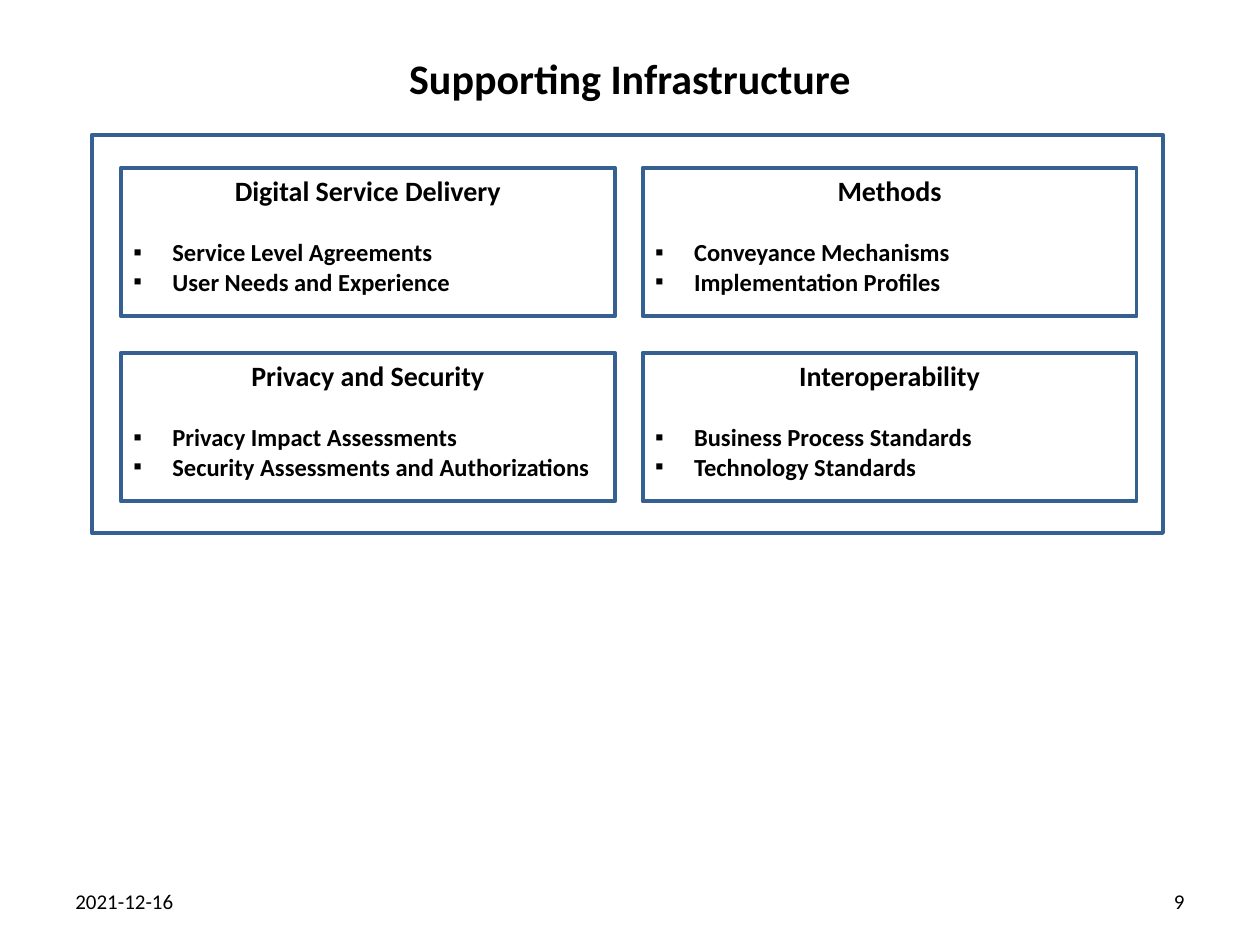
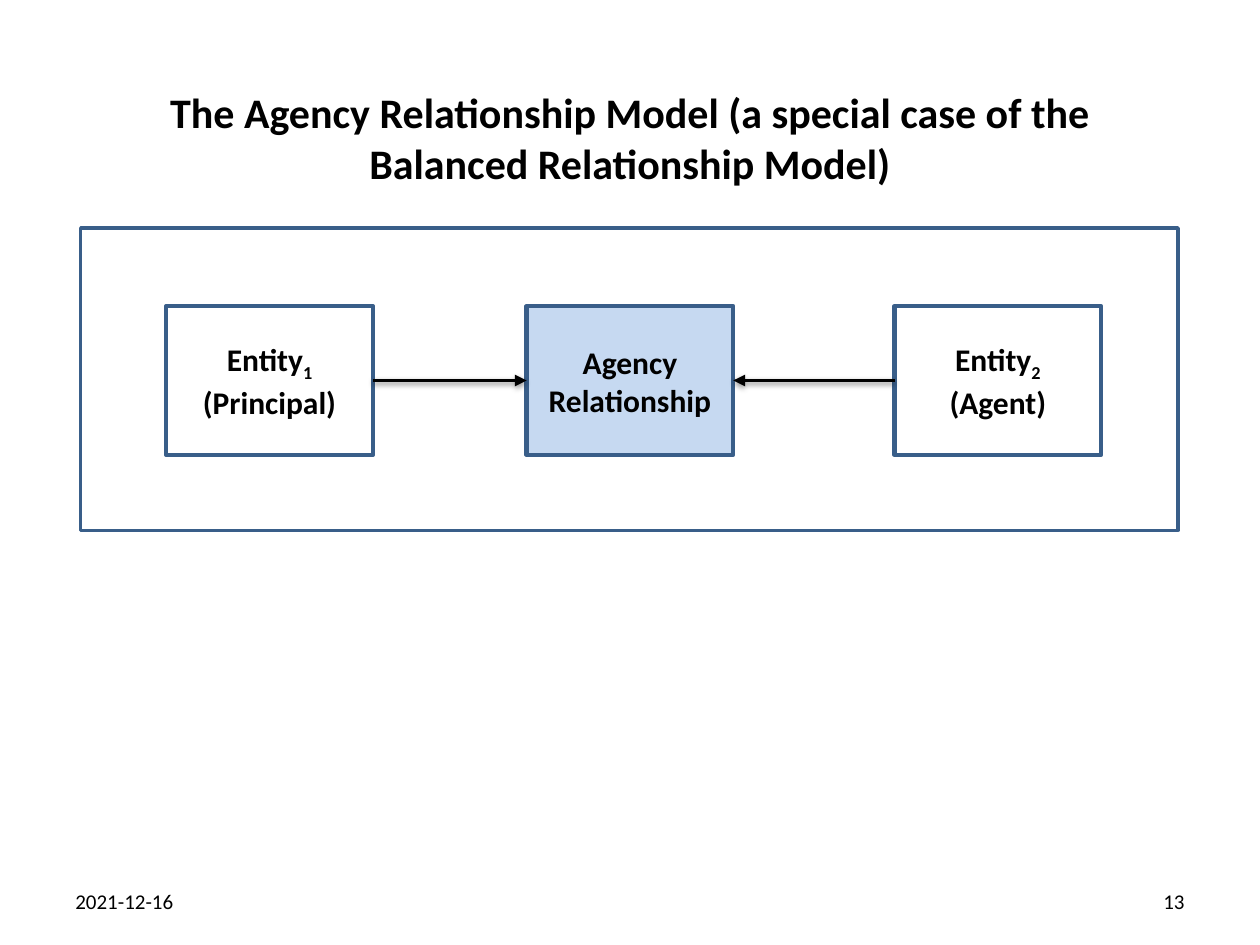
"""Build the supporting infrastructure and agency relationship slides."""
from lxml import etree
from pptx import Presentation
from pptx import util as u
from pptx.dml.color import RGBColor
from pptx.enum import shapes, text
from pptx.oxml.ns import qn

WIDTH, HEIGHT = 10, 7.5
FONT = "Calibri"
DATE = "2021-12-16"
COLORS = {"ink": "000000", "paper": "FFFFFF", "card": "376092",
          "model": "395E89", "relationship": "C6D9F1"}

INFRASTRUCTURE = {
    "title": "Supporting Infrastructure", "title_box": (0.37, 0.5), "number": "9",
    "frame": (0.73, 1.07, 8.5, 3.16),
    "cards": [
        [("Digital Service Delivery", ["Service Level Agreements", "User Needs and Experience"]),
         ("Methods", ["Conveyance Mechanisms", "Implementation Profiles"])],
        [("Privacy and Security", ["Privacy Impact Assessments",
                                   "Security Assessments and Authorizations"]),
         ("Interoperability", ["Business Process Standards", "Technology Standards"])],
    ],
}
AGENCY = {
    "title": "The Agency Relationship Model (a special case of the Balanced Relationship Model)",
    "title_box": (0.72, 0.74), "number": "13",
    "frame": (0.64, 1.81, 8.71, 2.4),
    "parties": [
        (1.32, [("Entity", 0), ("1", -25), (" (Principal)", 0)], None),
        (4.18, [("Agency Relationship", 0)], "relationship"),
        (7.1, [("Entity", 0), ("2", -25), (" (Agent)", 0)], None),
    ],
}
CARD_LEFT, CARD_TOP, CARD_W, BOX_H = 0.96, 1.33, 3.92, 1.18
COLUMN_STEP, ROW_STEP = 4.14, 1.47
PARTY_TOP, PARTY_W = 2.43, 1.64
FOOT_TOP, FOOT_W, FOOT_H, FOOT_MARGIN = 6.95, 2.33, 0.4, 0.5
TITLE_LEFT = 0.91
ALIGN, ANCHOR = text.PP_ALIGN, text.MSO_ANCHOR


def rgb(name):
    return RGBColor.from_string(COLORS[name])


def style(paragraph, size, bold=True, align=ALIGN.CENTER):
    paragraph.alignment = align
    for run in paragraph.runs:
        run.font.name, run.font.size, run.font.bold = FONT, u.Pt(size), bold
        run.font.color.rgb = rgb("ink")


def add_label(slide, box, words, size, bold, align):
    frame = slide.shapes.add_textbox(*map(u.Inches, box)).text_frame
    frame.word_wrap, frame.vertical_anchor = True, ANCHOR.MIDDLE
    frame.text = words
    style(frame.paragraphs[0], size, bold, align)


def add_box(slide, box, line, weight, fill=None):
    shape = slide.shapes.add_shape(shapes.MSO_SHAPE.RECTANGLE, *map(u.Inches, box))
    shape.shadow.inherit = False
    if fill:
        shape.fill.solid()
        shape.fill.fore_color.rgb = rgb(fill)
    else:
        shape.fill.background()
    shape.line.color.rgb, shape.line.width = rgb(line), u.Pt(weight)
    shape.text_frame.word_wrap = True
    return shape


def add_bullet(paragraph):
    props = paragraph._p.get_or_add_pPr()
    indent = u.Inches(0.31)
    props.set("marL", str(indent))
    props.set("indent", str(-indent))
    color = etree.SubElement(props, qn("a:buClr"))
    etree.SubElement(color, qn("a:srgbClr"), val=COLORS["ink"])
    etree.SubElement(props, qn("a:buFont"), typeface="Arial")
    etree.SubElement(props, qn("a:buChar"), char="▪")


def add_card(slide, column, row, heading, items):
    box = (CARD_LEFT + column * COLUMN_STEP, CARD_TOP + row * ROW_STEP, CARD_W, BOX_H)
    frame = add_box(slide, box, "card", 2.25, "paper").text_frame
    frame.vertical_anchor = ANCHOR.TOP
    frame.text = heading
    style(frame.paragraphs[0], 16)
    for index, item in enumerate(items):
        paragraph = frame.add_paragraph()
        paragraph.text = item
        add_bullet(paragraph)
        paragraph.space_before = u.Pt(0 if index else 17)
        style(paragraph, 14, align=ALIGN.LEFT)


def add_party(slide, left, pieces, fill):
    shape = add_box(slide, (left, PARTY_TOP, PARTY_W, BOX_H), "model", 2.5, fill)
    shape.text_frame.vertical_anchor = ANCHOR.MIDDLE
    paragraph = shape.text_frame.paragraphs[0]
    for words, baseline in pieces:
        run = paragraph.add_run()
        run.text = words
        if baseline:
            run.font._element.set("baseline", str(baseline * 1000))
    style(paragraph, 18)
    return shape


def add_arrow(slide, start, start_site, end, end_site):
    arrow = slide.shapes.add_connector(shapes.MSO_CONNECTOR.STRAIGHT, 0, 0, 0, 0)
    arrow.begin_connect(start, start_site)
    arrow.end_connect(end, end_site)
    arrow.line.color.rgb, arrow.line.width = rgb("ink"), u.Pt(2.25)
    etree.SubElement(arrow.line._get_or_add_ln(), qn("a:tailEnd"), type="triangle")
    effects = etree.SubElement(arrow._element.spPr, qn("a:effectLst"))
    shadow = etree.SubElement(effects, qn("a:outerShdw"), blurRad=str(u.Pt(3.1)),
                              dist=str(u.Pt(1.6)), dir="5400000", rotWithShape="0")
    color = etree.SubElement(shadow, qn("a:srgbClr"), val=COLORS["ink"])
    etree.SubElement(color, qn("a:alpha"), val="38000")


def start_slide(deck, content):
    slide = deck.slides.add_slide(deck.slide_layouts[6])
    top, height = content["title_box"]
    add_label(slide, (TITLE_LEFT, top, WIDTH - 2 * TITLE_LEFT, height),
              content["title"], 24, True, ALIGN.CENTER)
    for left, words, align in (
            (FOOT_MARGIN, DATE, ALIGN.LEFT),
            (WIDTH - FOOT_MARGIN - FOOT_W, content["number"], ALIGN.RIGHT)):
        add_label(slide, (left, FOOT_TOP, FOOT_W, FOOT_H), words, 12, False, align)
    return slide


def build_infrastructure(deck):
    slide = start_slide(deck, INFRASTRUCTURE)
    add_box(slide, INFRASTRUCTURE["frame"], "card", 2.25, "paper")
    for row, cards in enumerate(INFRASTRUCTURE["cards"]):
        for column, (heading, items) in enumerate(cards):
            add_card(slide, column, row, heading, items)


def build_agency(deck):
    slide = start_slide(deck, AGENCY)
    add_box(slide, AGENCY["frame"], "model", 2)
    principal, relationship, agent = [add_party(slide, *party) for party in AGENCY["parties"]]
    left_site, right_site = 1, 3
    add_arrow(slide, principal, right_site, relationship, left_site)
    add_arrow(slide, agent, left_site, relationship, right_site)


def main():
    deck = Presentation()
    deck.slide_width, deck.slide_height = u.Inches(WIDTH), u.Inches(HEIGHT)
    build_infrastructure(deck)
    build_agency(deck)
    deck.save("out.pptx")


if __name__ == "__main__":
    main()
